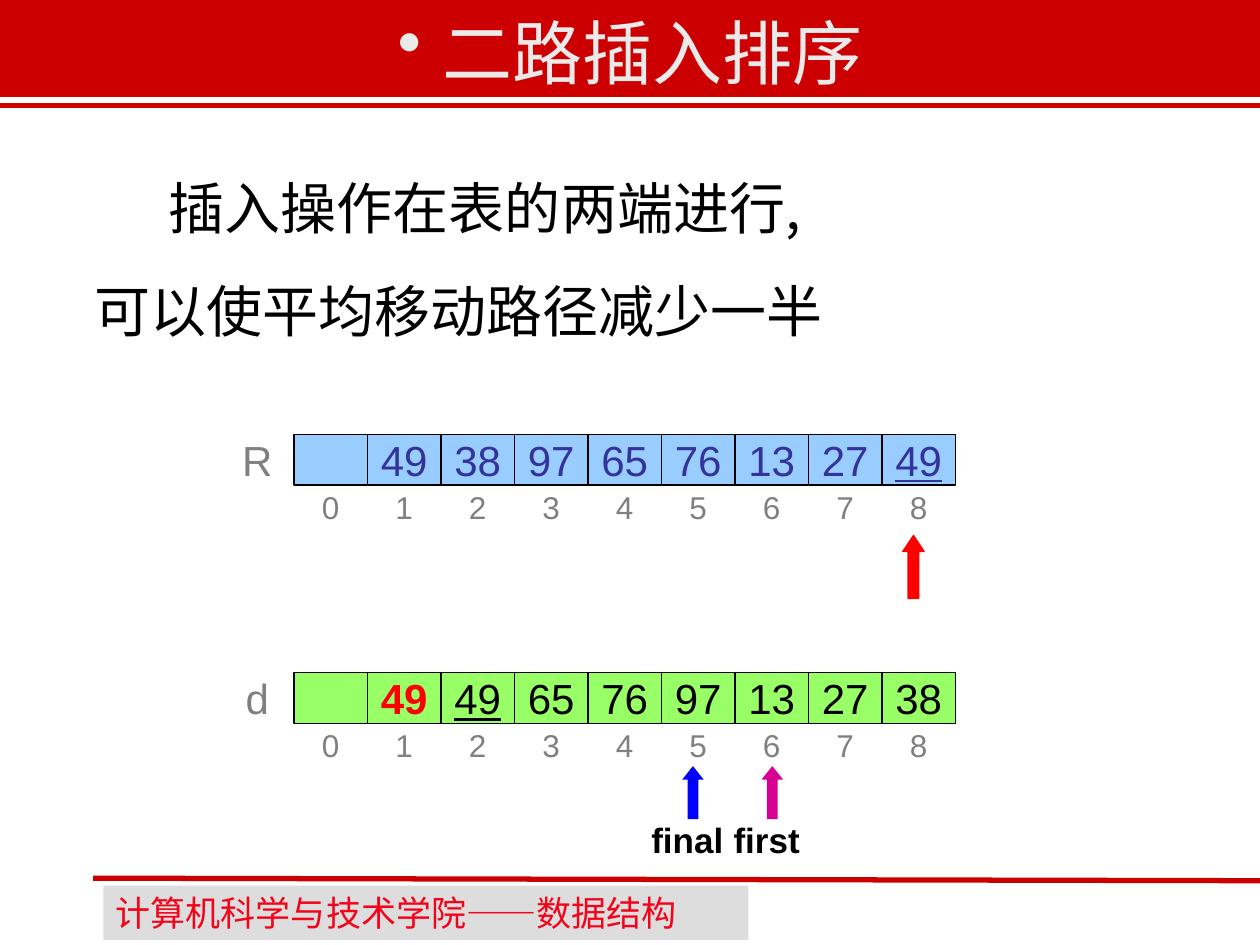
"""Build the slide on two-way insertion sort."""
from dataclasses import dataclass

from lxml import etree
from pptx import Presentation, util as u
from pptx.dml.color import RGBColor
from pptx.enum import shapes as kinds, text as t
from pptx.oxml.ns import qn

RED = RGBColor(0xCC, 0x00, 0x00)
PALE = RGBColor(0xEA, 0xEA, 0xEA)
FOOTER_FILL = RGBColor(0xDD, 0xDD, 0xDD)
FOOTER_RED = RGBColor(0xF4, 0x04, 0x1B)
BLACK = RGBColor(0x00, 0x00, 0x00)
GRAY = RGBColor(0x80, 0x80, 0x80)
SKY = RGBColor(0x99, 0xCC, 0xFF)
INDIGO = RGBColor(0x33, 0x33, 0x99)
LIME = RGBColor(0x99, 0xFF, 0x66)
BRIGHT_RED = RGBColor(0xFF, 0x00, 0x00)
BLUE = RGBColor(0x00, 0x00, 0xFF)
MAGENTA = RGBColor(0xD6, 0x00, 0x93)

WIDTH, HEIGHT = 10, 7.5
COLUMN = 7 / 12
GRID_LEFT = 4 * COLUMN
CELL_HEIGHT = 0.4
CJK = "Noto Sans CJK SC"


@dataclass
class Array:
    """A named row of cells with indices below."""
    name: str
    top: float
    values: tuple
    fill: RGBColor
    color: RGBColor
    underlined: int
    highlighted: int | None = None


@dataclass
class Pointer:
    """An arrow up to an array index, with an optional label."""
    center: float
    top: float
    height: float
    head: float
    color: RGBColor
    label: str = ""
    outlined: bool = False


ARRAYS = (
    Array("R", 3.45, ("", 49, 38, 97, 65, 76, 13, 27, 49), SKY, INDIGO, 8),
    Array("d", 5.34, ("", 49, 49, 65, 76, 97, 13, 27, 38), LIME, BLACK, 2, 1),
)
POINTERS = (
    Pointer(5.5, 6.08, 0.42, 0.63, BLUE, "final"),
    Pointer(6.13, 6.08, 0.42, 0.63, MAGENTA, "first"),
    Pointer(7.25, 4.25, 0.5, 0.75, BRIGHT_RED, outlined=True),
)


def place(shape, left: float, top: float, width: float, height: float) -> None:
    """Move and size a shape, in inches."""
    shape.left, shape.top = u.Inches(left), u.Inches(top)
    shape.width, shape.height = u.Inches(width), u.Inches(height)


def write(paragraph, content: str, *, size: float, color: RGBColor, font: str = "Arial",
          bold: bool = False, underline: bool = False, align=t.PP_ALIGN.CENTER) -> None:
    """Add a formatted run to a paragraph."""
    paragraph.alignment = align
    run = paragraph.add_run()
    run.text = content
    run.font.size, run.font.name = u.Pt(size), font
    run.font.bold, run.font.underline = bold, underline
    run.font.color.rgb = color


def set_frame(shape, anchor=t.MSO_ANCHOR.TOP, side: float = 0, end: float = 0):
    """Set anchor and margins, and return the text frame."""
    frame = shape.text_frame
    frame.word_wrap, frame.auto_size = True, t.MSO_AUTO_SIZE.NONE
    frame.vertical_anchor = anchor
    frame.margin_left = frame.margin_right = u.Inches(side)
    frame.margin_top = frame.margin_bottom = u.Inches(end)
    return frame


def add_shape(shapes, kind, box: tuple, fill: RGBColor, line: RGBColor | None = None,
              weight: float = 0.75):
    """Add a flat filled preset shape."""
    shape = shapes.add_shape(kind, *(u.Inches(length) for length in box))
    shape.shadow.inherit = False
    shape.fill.solid()
    shape.fill.fore_color.rgb = fill
    if line is None:
        shape.line.fill.background()
    else:
        shape.line.color.rgb, shape.line.width = line, u.Pt(weight)
    return shape


def add_label(shapes, content: str, box: tuple, **style) -> None:
    """Add a text box without margins."""
    label = shapes.add_textbox(*(u.Inches(length) for length in box))
    write(set_frame(label).paragraphs[0], content, **style)


def add_rule(shapes, left: float, top: float, bottom: float) -> None:
    """Add a red rule that runs to the right edge."""
    rule = shapes.add_connector(kinds.MSO_CONNECTOR.STRAIGHT, u.Inches(left), u.Inches(top),
                                u.Inches(WIDTH), u.Inches(bottom))
    rule.line.color.rgb, rule.line.width = RED, u.Pt(3)
    etree.SubElement(rule.element.spPr, qn("a:effectLst"))


def set_bullet(paragraph, margin: float, indent: float, character: str = "") -> None:
    """Set the indents of a paragraph and its bullet, if any."""
    properties = paragraph._p.get_or_add_pPr()
    properties.set("marL", str(u.Inches(margin)))
    properties.set("indent", str(u.Inches(indent)))
    if character:
        etree.SubElement(properties, qn("a:buChar"), char=character)
    else:
        etree.SubElement(properties, qn("a:buNone"))


def draw_array(shapes, array: Array) -> None:
    """Draw the name, cells and indices of an array."""
    add_label(shapes, array.name, (GRID_LEFT - COLUMN, array.top, COLUMN, CELL_HEIGHT),
              size=24, color=GRAY)
    indices = shapes.add_group_shape().shapes
    for index, value in enumerate(array.values):
        left = GRID_LEFT + index * COLUMN
        cell = add_shape(shapes, kinds.MSO_SHAPE.RECTANGLE,
                         (left, array.top, COLUMN, CELL_HEIGHT), array.fill, BLACK)
        if value:
            marked = index == array.highlighted
            write(set_frame(cell, t.MSO_ANCHOR.MIDDLE).paragraphs[0], str(value), size=24,
                  color=BRIGHT_RED if marked else array.color, bold=marked,
                  underline=index == array.underlined)
        add_label(indices, str(index), (left, array.top + 0.42, COLUMN, 0.3),
                  size=18, color=GRAY)


def draw_pointer(shapes, pointer: Pointer) -> None:
    """Draw an arrow with its label below."""
    group = shapes.add_group_shape().shapes if pointer.label else shapes
    arrow = add_shape(group, kinds.MSO_SHAPE.UP_ARROW,
                      (pointer.center - 0.085, pointer.top, 0.17, pointer.height),
                      pointer.color, pointer.color if pointer.outlined else None)
    arrow.adjustments[1] = pointer.head
    if pointer.label:
        add_label(group, pointer.label,
                  (pointer.center - 0.42, pointer.top + pointer.height, 0.75, 0.33),
                  size=20, color=BLACK, bold=True)


def main() -> None:
    """Build and save the presentation."""
    presentation = Presentation()
    presentation.slide_width, presentation.slide_height = u.Inches(WIDTH), u.Inches(HEIGHT)
    slide = presentation.slides.add_slide(presentation.slide_layouts[1])
    shapes, title, body = slide.shapes, slide.shapes.title, slide.placeholders[1]

    banner = add_shape(shapes, kinds.MSO_SHAPE.RECTANGLE, (0, -0.02, WIDTH, 0.78), RED, RED, 1)
    title.element.addprevious(banner.element)
    place(title, 1.27, 0.02, 7.46, 0.77)
    heading = set_frame(title, t.MSO_ANCHOR.MIDDLE, 0.1, 0.05).paragraphs[0]
    set_bullet(heading, 0.36, -0.36, "•")
    write(heading, "二路插入排序", size=40, color=PALE, font="Times New Roman")

    place(body, 0.24, 1.33, 9.33, 1.45)
    frame = set_frame(body, side=0.1, end=0.05)
    lines = (("插入操作在表的两端进行,", 0.59), ("可以使平均移动路径减少一半", 0))
    for number, (content, indent) in enumerate(lines):
        paragraph = frame.add_paragraph() if number else frame.paragraphs[0]
        set_bullet(paragraph, 0.41, indent)
        paragraph.line_spacing = u.Pt(38.4)
        paragraph.space_before = u.Pt(20 * number)
        write(paragraph, content, size=32, color=BLACK, font=CJK, align=t.PP_ALIGN.LEFT)

    footer = add_shape(shapes, kinds.MSO_SHAPE.RECTANGLE, (0.82, 7.03, 5.12, 0.43), FOOTER_FILL)
    paragraph = set_frame(footer, side=0.1, end=0.05).paragraphs[0]
    for content, font in (("计算机科学与技术学院", "Arial"), ("——", CJK), ("数据结构", "Arial")):
        write(paragraph, content, size=20, color=FOOTER_RED, font=font, align=t.PP_ALIGN.LEFT)
    add_rule(shapes, 0.74, 6.97, 6.99)
    add_rule(shapes, 0, 0.84, 0.84)

    for array in ARRAYS:
        draw_array(shapes, array)
    for pointer in POINTERS:
        draw_pointer(shapes, pointer)
    presentation.save("out.pptx")


if __name__ == "__main__":
    main()
